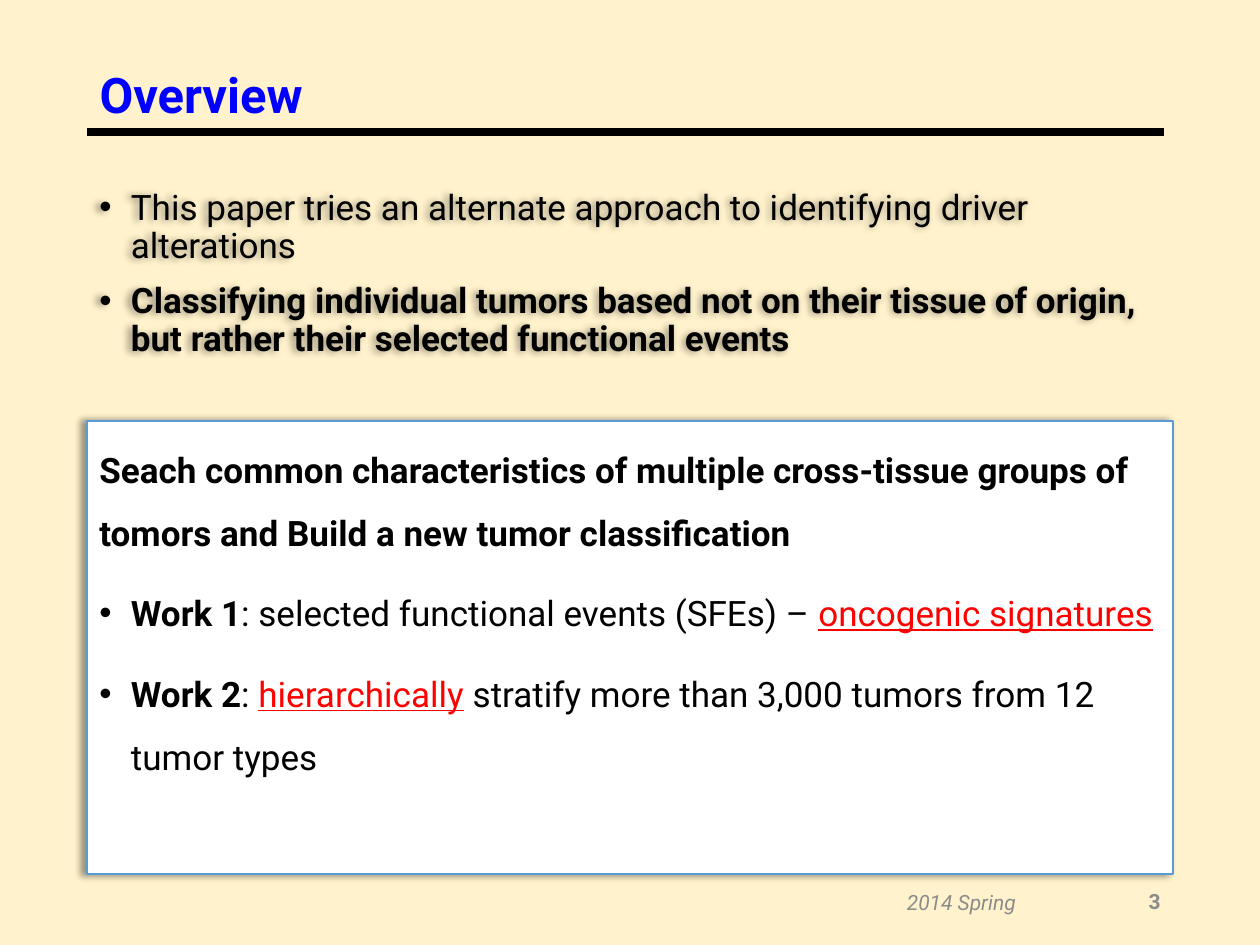
from lxml.etree import SubElement
from pptx import Presentation
from pptx.dml.color import RGBColor
from pptx.enum.shapes import MSO_CONNECTOR, MSO_SHAPE
from pptx.enum.text import MSO_ANCHOR, MSO_AUTO_SIZE, PP_ALIGN
from pptx.oxml.ns import qn
from pptx.util import Inches, Pt

FONT = "Roboto"
CREAM = RGBColor(0xFF, 0xF2, 0xCC)
WHITE = RGBColor(0xFF, 0xFF, 0xFF)
BLACK = RGBColor(0x00, 0x00, 0x00)
BLUE = RGBColor(0x00, 0x00, 0xFF)
BORDER_BLUE = RGBColor(0x5B, 0x9B, 0xD5)
RED = RGBColor(0xFF, 0x00, 0x00)
GRAY = RGBColor(0x8C, 0x8C, 0x8C)

LEFT, WIDTH = 0.69, 8.62

PLAIN = {}
BOLD = {"bold": True}
KEY = {"color": RED, "underline": True}

# Each paragraph: (bulleted, [(text, style), ...])
APPROACH = [
    (True, [("This paper tries an alternate approach to identifying driver alterations", PLAIN)]),
    (True, [("Classifying individual tumors based not on their tissue of origin, "
             "but rather their selected functional events", BOLD)]),
]
WORKS = [
    (False, [("Seach common characteristics of multiple cross-tissue groups of tomors "
              "and Build a new tumor classification", BOLD)]),
    (True, [("Work 1", BOLD), (": selected functional events (SFEs) – ", PLAIN),
            ("oncogenic signatures", KEY)]),
    (True, [("Work 2", BOLD), (": ", PLAIN), ("hierarchically", KEY),
            (" stratify more than 3,000 tumors from 12 tumor types", PLAIN)]),
]
# text, (left, top, width, height), alignment, style
FOOTERS = [
    ("3", (7.06, 6.95, 2.25, 0.4), PP_ALIGN.RIGHT, BOLD),
    ("2014 Spring", (5.94, 6.96, 3.38, 0.4), PP_ALIGN.CENTER, {"italic": True}),
]


def style_run(run, size, color=BLACK, bold=False, italic=False, underline=False):
    font = run.font
    font.name, font.size = FONT, Pt(size)
    font.bold, font.italic, font.underline = bold, italic, underline
    font.color.rgb = color


def add_bullet(paragraph):
    properties = paragraph._p.get_or_add_pPr()
    properties.set("marL", str(Inches(0.25)))
    properties.set("indent", str(Inches(-0.25)))
    SubElement(properties, qn("a:buFont"), typeface="Arial")
    SubElement(properties, qn("a:buChar"), char="•")


def add_left_shadow(shape):
    shape.shadow.inherit = False
    effects = shape._element.spPr.find(qn("a:effectLst"))
    shadow = SubElement(effects, qn("a:outerShdw"), blurRad=str(Pt(4)), dist=str(Pt(3)),
                        dir="10800000", algn="r", rotWithShape="0")
    color = SubElement(shadow, qn("a:prstClr"), val="black")
    SubElement(color, qn("a:alpha"), val="40000")


def fill_text(shape, paragraphs, line_spacing):
    frame = shape.text_frame
    frame.word_wrap = True
    frame.vertical_anchor = MSO_ANCHOR.TOP
    for index, (bulleted, pieces) in enumerate(paragraphs):
        paragraph = frame.add_paragraph() if index else frame.paragraphs[0]
        paragraph.alignment = PP_ALIGN.LEFT
        paragraph.line_spacing = line_spacing
        paragraph.space_before = Pt(10)
        if bulleted:
            add_bullet(paragraph)
        for text, style in pieces:
            run = paragraph.add_run()
            run.text = text
            style_run(run, 20, **style)


def main():
    prs = Presentation()
    prs.slide_width, prs.slide_height = Inches(10), Inches(7.5)
    slide = prs.slides.add_slide(prs.slide_layouts[5])
    slide.background.fill.solid()
    slide.background.fill.fore_color.rgb = CREAM
    shapes = slide.shapes

    title = shapes.title
    title.left, title.top = Inches(LEFT), Inches(0.32)
    title.width, title.height = Inches(WIDTH), Inches(0.91)
    title.text_frame.text = "Overview"
    title.text_frame.auto_size = MSO_AUTO_SIZE.NONE
    title.text_frame.vertical_anchor = MSO_ANCHOR.MIDDLE
    heading = title.text_frame.paragraphs[0]
    heading.alignment, heading.line_spacing = PP_ALIGN.LEFT, 0.9
    style_run(heading.runs[0], 28, BLUE, bold=True)

    rule = shapes.add_connector(MSO_CONNECTOR.STRAIGHT, Inches(LEFT), Inches(1.05),
                                Inches(9.24), Inches(1.05))
    rule.line.color.rgb, rule.line.width = BLACK, Pt(4.5)
    SubElement(rule._element.spPr, qn("a:effectLst"))

    approach = shapes.add_textbox(Inches(LEFT), Inches(1.46), Inches(WIDTH), Inches(1.65))
    approach.fill.background()
    add_left_shadow(approach)
    fill_text(approach, APPROACH, 0.9)

    works = shapes.add_shape(MSO_SHAPE.RECTANGLE, Inches(LEFT), Inches(3.34),
                             Inches(WIDTH), Inches(3.6))
    works.fill.solid()
    works.fill.fore_color.rgb = WHITE
    works.line.color.rgb, works.line.width = BORDER_BLUE, Pt(1)
    add_left_shadow(works)
    fill_text(works, WORKS, 1.5)

    for text, box, alignment, style in FOOTERS:
        footer = shapes.add_textbox(*map(Inches, box))
        frame = footer.text_frame
        frame.text, frame.word_wrap = text, True
        frame.vertical_anchor = MSO_ANCHOR.MIDDLE
        frame.paragraphs[0].alignment = alignment
        style_run(frame.paragraphs[0].runs[0], 12, GRAY, **style)

    prs.save("out.pptx")


if __name__ == "__main__":
    main()
